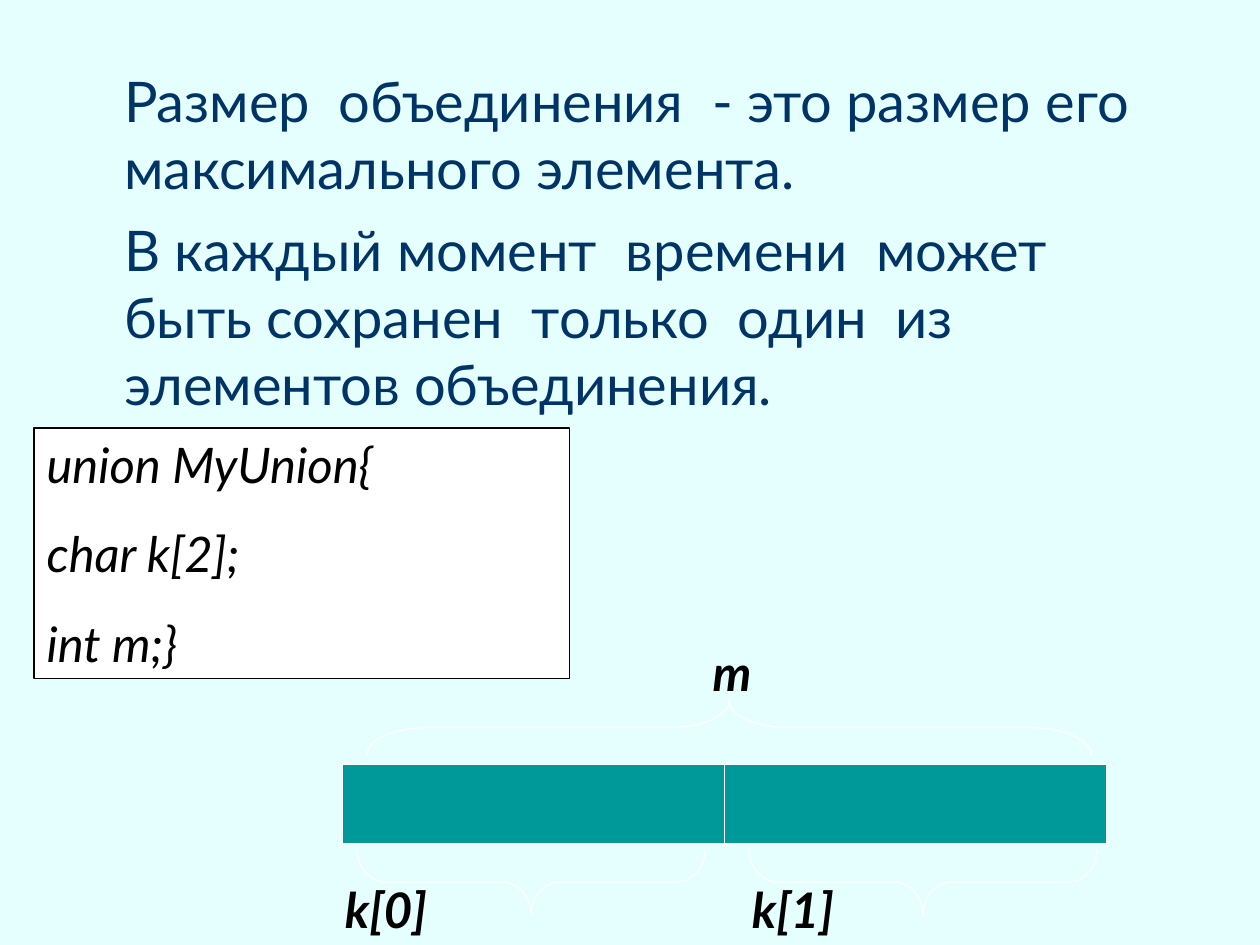
from pptx import Presentation
from pptx.dml.color import RGBColor
from pptx.enum.shapes import MSO_SHAPE
from pptx.enum.text import MSO_ANCHOR, PP_ALIGN
from pptx.util import Pt

RECTANGLE = MSO_SHAPE.RECTANGLE
LEFT_BRACE = MSO_SHAPE.LEFT_BRACE
RIGHT_BRACE = MSO_SHAPE.RIGHT_BRACE
TOP = MSO_ANCHOR.TOP
LEFT = PP_ALIGN.LEFT
CENTER = PP_ALIGN.CENTER

FONT = "Lato"
BLACK = "000000"
WHITE = "FFFFFF"
NAVY = "003366"
TEAL = "009999"
BACKGROUND = "E5FFFF"

CELL_LEFT, CELL_TOP, CELL_WIDTH, CELL_HEIGHT = 195.8, 437, 218.2, 45.4


def color(value):
    return RGBColor.from_string(value)


def add_text(shape, lines, size, text_color, before, alignment=LEFT, bold=False, italic=False):
    frame = shape.text_frame
    frame.word_wrap = True
    frame.vertical_anchor = TOP
    for index, line in enumerate(lines):
        paragraph = frame.paragraphs[0] if index == 0 else frame.add_paragraph()
        paragraph.alignment = alignment
        paragraph.space_before = Pt(before)
        run = paragraph.add_run()
        run.text = line
        run.font.name = FONT
        run.font.size = Pt(size)
        run.font.bold = bold
        run.font.italic = italic
        run.font.color.rgb = color(text_color)


def add_box(slide, left, top, width, height):
    return slide.shapes.add_textbox(Pt(left), Pt(top), Pt(width), Pt(height))


def add_outlined(slide, kind, left, top, width, height, line, fill=None):
    shape = slide.shapes.add_shape(kind, Pt(left), Pt(top), Pt(width), Pt(height))
    shape.shadow.inherit = False
    shape.line.color.rgb = color(line)
    shape.line.width = Pt(0.75)
    if fill:
        shape.fill.solid()
        shape.fill.fore_color.rgb = color(fill)
    else:
        shape.fill.background()
    return shape


def add_brace(slide, kind, center_x, center_y, depth, length, curve):
    left, top = center_x - depth / 2, center_y - length / 2
    brace = add_outlined(slide, kind, left, top, depth, length, WHITE)
    brace.rotation = 270
    brace.adjustments[0] = curve


def add_label(slide, text, left, top, width, alignment=LEFT):
    box = add_box(slide, left, top, width, 41)
    add_text(box, [text], 28, BLACK, 17.5, alignment, bold=True, italic=True)


def main():
    presentation = Presentation()
    presentation.slide_width = Pt(720)
    presentation.slide_height = Pt(540)
    slide = presentation.slides.add_slide(presentation.slide_layouts[6])
    slide.background.fill.solid()
    slide.background.fill.fore_color.rgb = color(BACKGROUND)

    body = add_box(slide, 36.7, 34.6, 648, 445)
    body.text_frame.margin_left = Pt(34.2)
    add_text(body, [
        "Размер  объединения  - это размер его максимального элемента.",
        "В каждый момент  времени  может  быть сохранен  только  один  из элементов объединения.",
    ], 32, NAVY, 8)

    code = add_outlined(slide, RECTANGLE, 19.5, 244.6, 306, 143.3, BLACK, WHITE)
    add_text(code, ["union MyUnion{", "char k[2];", "int m;}"], 28, BLACK, 17.5, italic=True)

    for index in range(2):
        left = CELL_LEFT + index * CELL_WIDTH
        add_outlined(slide, RECTANGLE, left, CELL_TOP, CELL_WIDTH, CELL_HEIGHT, WHITE, TEAL)

    add_brace(slide, RIGHT_BRACE, 416.5, 415.8, 31, 414, 1.11)
    for center_x in (303.5, 527.4):
        add_brace(slide, LEFT_BRACE, center_x, 504, 36.7, 198.7, 0.45)

    add_label(slide, "m", 377.3, 363.6, 82, CENTER)
    add_label(slide, "k[0]", 190, 499, 99.4)
    add_label(slide, "k[1]", 422.6, 499, 99.4)

    presentation.save("out.pptx")


if __name__ == "__main__":
    main()
